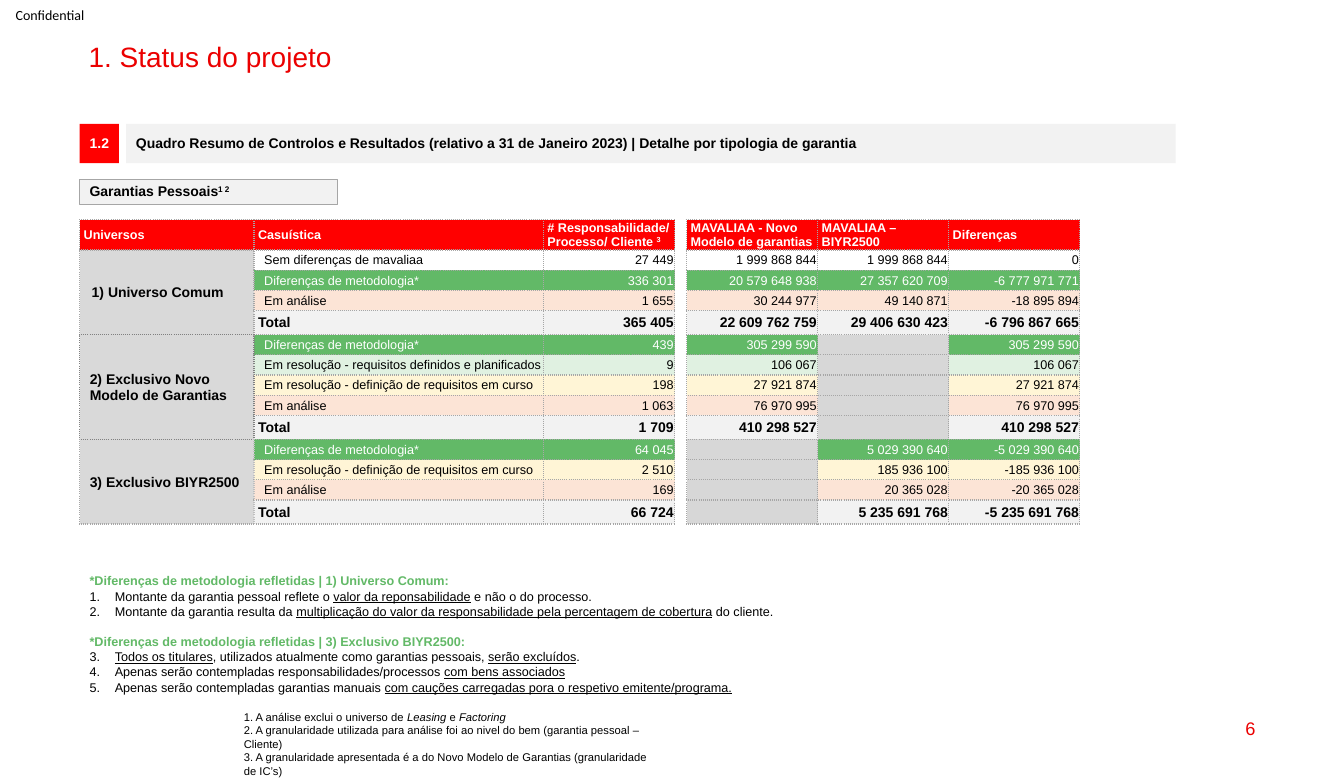
from dataclasses import dataclass
from typing import Optional

from pptx import Presentation
from pptx.dml.color import RGBColor as RGB
from pptx.enum.shapes import MSO_SHAPE as SHAPE
from pptx.enum.text import MSO_ANCHOR as ANCHOR, PP_ALIGN as ALIGN
from pptx.oxml.ns import qn
from pptx.util import Inches, Pt
from lxml.etree import SubElement


@dataclass(frozen=True)
class Theme:
    font: str = "Arial"
    label_font: str = "Calibri"
    red: str = "FF0000"
    title_red: str = "EB0000"
    black: str = "000000"
    white: str = "FFFFFF"
    panel: str = "F2F2F2"
    universe: str = "D9D9D9"
    not_applicable: str = "D7D7D7"
    edge: str = "A6A6A6"
    dark_edge: str = "808080"
    light_edge: str = "BFBFBF"
    green: str = "62B967"
    title_size: float = 20
    page_size: float = 13
    strong_size: float = 10
    body_size: float = 9
    note_size: float = 8


T = Theme()


@dataclass(frozen=True)
class Run:
    text: str
    italic: bool = False
    underline: bool = False
    raised: bool = False


@dataclass(frozen=True)
class Para:
    runs: list[Run]
    number: Optional[int] = None
    before: float = 0
    bold: bool = False
    color: str = T.black


@dataclass(frozen=True)
class Case:
    label: str
    values: list[str]
    fill: Optional[str] = None


@dataclass(frozen=True)
class Universe:
    name: str
    edges: tuple[str, str, str, str]  # left, right, top, bottom
    cases: list[Case]
    indent: float = 0.1


def plain(text: str, **kw) -> Para:
    return Para([Run(text)], **kw)


def u(text: str) -> Run:
    return Run(text, underline=True)


def write(tf, paras: list[Para], *, size=T.body_size, font=T.font, color=None, bold=None,
          align=ALIGN.LEFT, spacing=None) -> None:
    """Fill a text frame; color and bold override those of the paragraphs."""
    for i, para in enumerate(paras):
        p = tf.paragraphs[0] if i == 0 else tf.add_paragraph()
        p.alignment = align
        if para.number:
            pPr = p._p.get_or_add_pPr()
            pPr.set("marL", str(Inches(0.25)))
            pPr.set("indent", str(-Inches(0.25)))
            SubElement(pPr, qn("a:buFont"), typeface=font)
            SubElement(pPr, qn("a:buAutoNum"), type="arabicPeriod", startAt=str(para.number))
        if spacing:
            p.line_spacing = spacing
        if para.before:
            p.space_before = Pt(para.before)
        for run in para.runs:
            r = p.add_run()
            r.text = run.text
            f = r.font
            f.name, f.size = font, Pt(size)
            f.bold = para.bold if bold is None else bold
            f.italic, f.underline = run.italic, run.underline
            f.color.rgb = RGB.from_string(color or para.color)
            if run.raised:
                r._r.get_or_add_rPr().set("baseline", "30000")


def add_text(s, box, paras: list[Para], *, inset=True, wrap=True, anchor=ANCHOR.TOP, **fmt) -> None:
    tf = s.shapes.add_textbox(*map(Inches, box)).text_frame
    tf.word_wrap, tf.vertical_anchor = wrap, anchor
    if not inset:
        tf.margin_left = tf.margin_right = tf.margin_top = tf.margin_bottom = 0
    write(tf, paras, **fmt)


def add_panel(s, box, runs: list[Run], *, fill=T.panel, line=None, **fmt) -> None:
    sp = s.shapes.add_shape(SHAPE.RECTANGLE, *map(Inches, box))
    sp.shadow.inherit = False
    sp.fill.solid()
    sp.fill.fore_color.rgb = RGB.from_string(fill)
    if line:
        sp.line.color.rgb, sp.line.width = RGB.from_string(line), Pt(0.75)
    else:
        sp.line.fill.background()
    sp.text_frame.word_wrap, sp.text_frame.vertical_anchor = True, ANCHOR.MIDDLE
    write(sp.text_frame, [Para(runs, bold=True)], size=T.strong_size, spacing=0.9, **fmt)


def style_cell(cell, paras: list[Para], *, fill=None, edges=(T.edge,) * 4, left=0.01, right=0.01,
               top=0.01, **fmt) -> None:
    """Edges run left, right, top, bottom; None leaves a side open."""
    tcPr = cell._tc.get_or_add_tcPr()
    for tag, color in zip(("a:lnL", "a:lnR", "a:lnT", "a:lnB"), edges):
        ln = SubElement(tcPr, qn(tag), w=str(Pt(1)))
        if color:
            SubElement(SubElement(ln, qn("a:solidFill")), qn("a:srgbClr"), val=color)
            SubElement(ln, qn("a:prstDash"), val="sysDot")
        else:
            SubElement(ln, qn("a:noFill"))
    if fill:
        cell.fill.solid()
        cell.fill.fore_color.rgb = RGB.from_string(fill)
    else:
        cell.fill.background()
    cell.margin_left, cell.margin_right = Inches(left), Inches(right)
    cell.margin_top, cell.margin_bottom = Inches(top), 0
    cell.vertical_anchor = ANCHOR.MIDDLE
    if paras:
        write(cell.text_frame, paras, **fmt)
    else:
        SubElement(cell.text_frame.paragraphs[0]._p, qn("a:endParaRPr"), sz="900")


METHOD, ANALYSIS = "Diferenças de metodologia*", "Em análise"
PLANNED = "Em resolução - requisitos definidos e planificados"
ONGOING = "Em resolução - definição de requisitos em curso"
TOTAL = "Total"
FILLS = {METHOD: T.green, ANALYSIS: "FCE4D6", PLANNED: "E0F1E1", ONGOING: "FFF5D6", TOTAL: T.panel}
UNIVERSES = [
    Universe("1) Universo Comum", (T.edge, T.edge, T.edge, T.dark_edge), [
        Case("Sem diferenças de mavaliaa", ["27 449", "1 999 868 844", "1 999 868 844", "0"]),
        Case(METHOD, ["336 301", "20 579 648 938", "27 357 620 709", "-6 777 971 771"]),
        Case(ANALYSIS, ["1 655", "30 244 977", "49 140 871", "-18 895 894"]),
        Case(TOTAL, ["365 405", "22 609 762 759", "29 406 630 423", "-6 796 867 665"])], 0.12),
    Universe("2) Exclusivo Novo Modelo de Garantias", (T.dark_edge,) * 4, [
        Case(METHOD, ["439", "305 299 590", "", "305 299 590"]),
        Case(PLANNED, ["9", "106 067", "", "106 067"]),
        Case(ONGOING, ["198", "27 921 874", "", "27 921 874"]),
        Case(ANALYSIS, ["1 063", "76 970 995", "", "76 970 995"]),
        Case(TOTAL, ["1 709", "410 298 527", "", "410 298 527"])]),
    Universe("3) Exclusivo BIYR2500", (T.edge, T.light_edge, T.dark_edge, T.edge), [
        Case(METHOD, ["64 045", "", "5 029 390 640", "-5 029 390 640"]),
        Case(ONGOING, ["2 510", "", "185 936 100", "-185 936 100"]),
        Case(ANALYSIS, ["169", "", "20 365 028", "-20 365 028"]),
        Case(TOTAL, ["66 724", "", "5 235 691 768", "-5 235 691 768"])]),
]
HEADERS = {
    0: [plain("Universos")], 1: [plain("Casuística")],
    2: [plain("# Responsabilidade/"), Para([Run("Processo/ Cliente "), Run("3", raised=True)])],
    4: [plain("MAVALIAA - Novo Modelo de garantias")],
    5: [plain("MAVALIAA – BIYR2500")], 6: [plain("Diferenças")],
}
GAP_COL, VALUE_COLS = 3, (2, 4, 5, 6)
COL_WIDTHS = (1.73, 2.87, 1.3, 0.12, 1.3, 1.3, 1.3)


def add_results(s) -> None:
    cases = [case for universe in UNIVERSES for case in universe.cases]
    heights = [0.27] + [0.24 if case.label == TOTAL else 0.2 for case in cases]
    table = s.shapes.add_table(len(heights), len(COL_WIDTHS), Inches(0.79), Inches(2.18),
                               Inches(sum(COL_WIDTHS)), Inches(sum(heights))).table
    table.first_row = table.horz_banding = False
    for col, width in zip(table.columns, COL_WIDTHS):
        col.width = Inches(width)
    for row, height in zip(table.rows, heights):
        row.height = Inches(height)
        style_cell(row.cells[GAP_COL], [], edges=(T.edge, T.edge, None, None))
    for col, paras in HEADERS.items():
        style_cell(table.cell(0, col), paras, fill=T.red, left=0.04, right=0.04, top=0,
                   color=T.white, bold=True)
    top = 1
    for universe in UNIVERSES:
        for y, case in enumerate(universe.cases, top):
            total = case.label == TOTAL
            fill = FILLS.get(case.label)
            fmt = dict(size=T.strong_size if total else T.body_size, bold=total,
                       color=T.white if case.label == METHOD else T.black)
            style_cell(table.cell(y, 0), [plain(universe.name)] if y == top else [],
                       fill=T.universe, edges=universe.edges, left=universe.indent, right=0.04,
                       size=T.strong_size, bold=True)
            style_cell(table.cell(y, 1), [plain(case.label)], fill=fill, left=0.04 if total else 0.1,
                       edges=(universe.edges[1], T.edge, T.edge, T.edge), **fmt)
            for col, value in zip(VALUE_COLS, case.values):
                style_cell(table.cell(y, col), [plain(value)] if value else [],
                           fill=fill if value else T.not_applicable, align=ALIGN.RIGHT, **fmt)
        bottom = top + len(universe.cases) - 1
        table.cell(top, 0).merge(table.cell(bottom, 0))
        top = bottom + 1


METHOD_NOTES = [
    plain("*Diferenças de metodologia refletidas | 1) Universo Comum:", bold=True, color=T.green),
    Para([Run("Montante da garantia pessoal reflete o "), u("valor da reponsabilidade"),
          Run(" e não o do processo.")], 1),
    Para([Run("Montante da garantia resulta da "),
          u("multiplicação do valor da responsabilidade pela percentagem de cobertura"),
          Run(" do cliente.")], 2),
    plain("*Diferenças de metodologia refletidas | 3) Exclusivo BIYR2500:", bold=True,
          color=T.green, before=10.8),
    Para([u("Todos os titulares"), Run(", utilizados atualmente como garantias pessoais, "),
          u("serão excluídos"), Run(".")], 3),
    Para([Run("Apenas serão contempladas responsabilidades/processos "),
          u("com bens associados")], 4),
    Para([Run("Apenas serão contempladas garantias manuais "),
          u("com cauções carregadas pora o respetivo emitente/programa.")], 5),
]
FOOTNOTES = [
    Para([Run("1. A análise exclui o universo de "), Run("Leasing", italic=True), Run(" e "),
          Run("Factoring", italic=True)]),
    plain("2. A granularidade utilizada para análise foi ao nivel do bem (garantia pessoal – Cliente)"),
    plain("3. A granularidade apresentada é a do Novo Modelo de Garantias (granularidade de IC’s)"),
]


def main() -> None:
    prs = Presentation()
    prs.slide_width, prs.slide_height = Inches(13.33), Inches(7.76)
    s = prs.slides.add_slide(prs.slide_layouts[6])
    add_text(s, (0, 0, 0.99, 0.29), [plain("Confidential")], inset=False, wrap=False,
             anchor=ANCHOR.MIDDLE, size=T.strong_size, font=T.label_font, align=ALIGN.CENTER)
    add_text(s, (0.78, 0.38, 11.77, 0.34), [plain("1. Status do projeto")], size=T.title_size,
             color=T.title_red, spacing=0.9)
    add_text(s, (9.55, 7.02, 3, 0.41), [plain("6")], anchor=ANCHOR.MIDDLE, size=T.page_size,
             color=T.title_red, align=ALIGN.RIGHT)
    add_panel(s, (0.79, 1.23, 0.39, 0.39), [Run("1.2")], fill=T.red, color=T.white,
              align=ALIGN.CENTER)
    add_panel(s, (1.25, 1.23, 10.41, 0.39), [Run(
        "Quadro Resumo de Controlos e Resultados (relativo a 31 de Janeiro 2023) | "
        "Detalhe por tipologia de garantia")])
    add_panel(s, (0.79, 1.78, 2.56, 0.25), [Run("Garantias Pessoais"), Run("1 2", raised=True)],
              line=T.edge)
    add_results(s)
    add_text(s, (2.32, 7, 4.34, 0.5), FOOTNOTES, size=T.note_size)
    add_text(s, (0.79, 5.64, 10.55, 0.95), METHOD_NOTES)
    prs.save("out.pptx")


if __name__ == "__main__":
    main()
